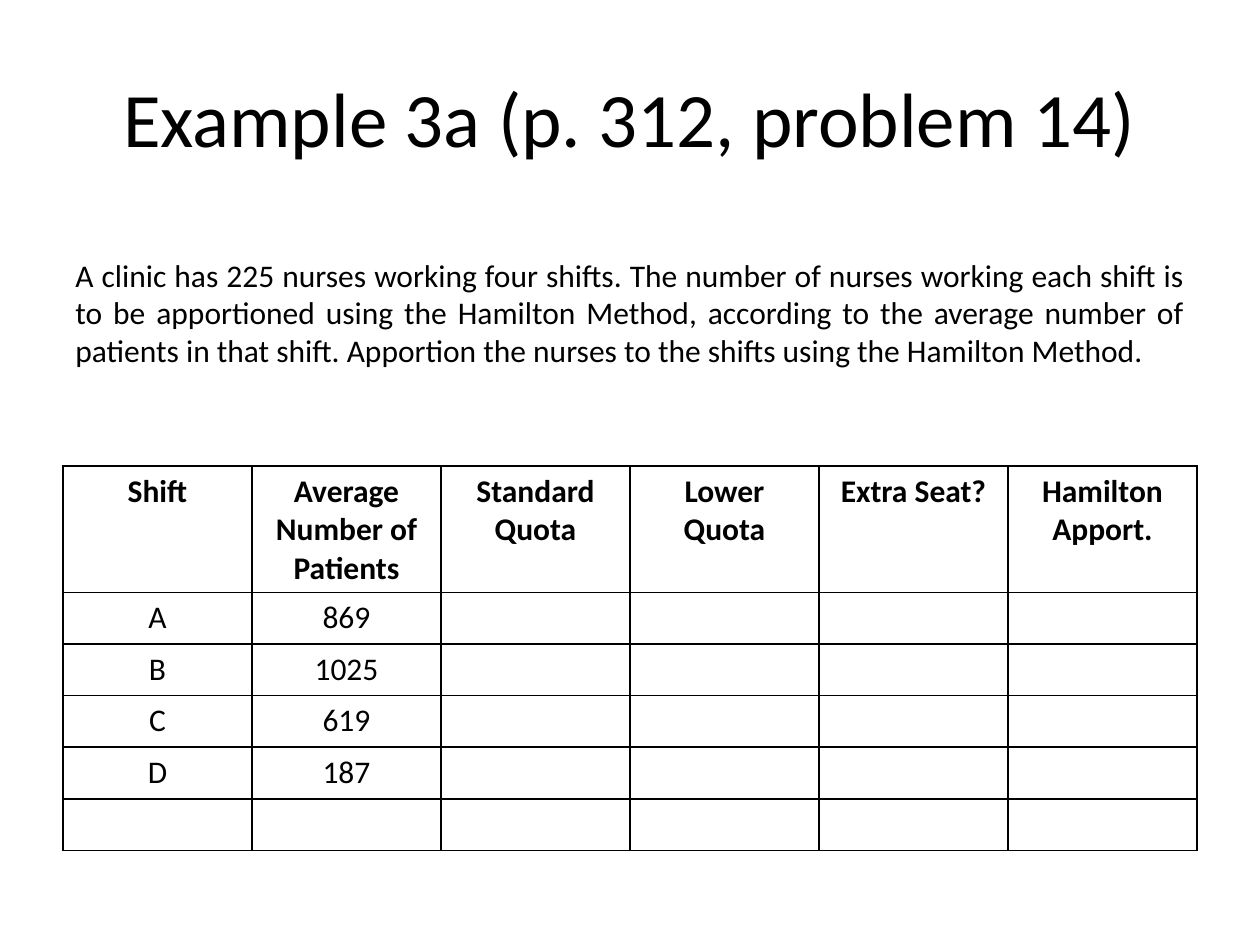
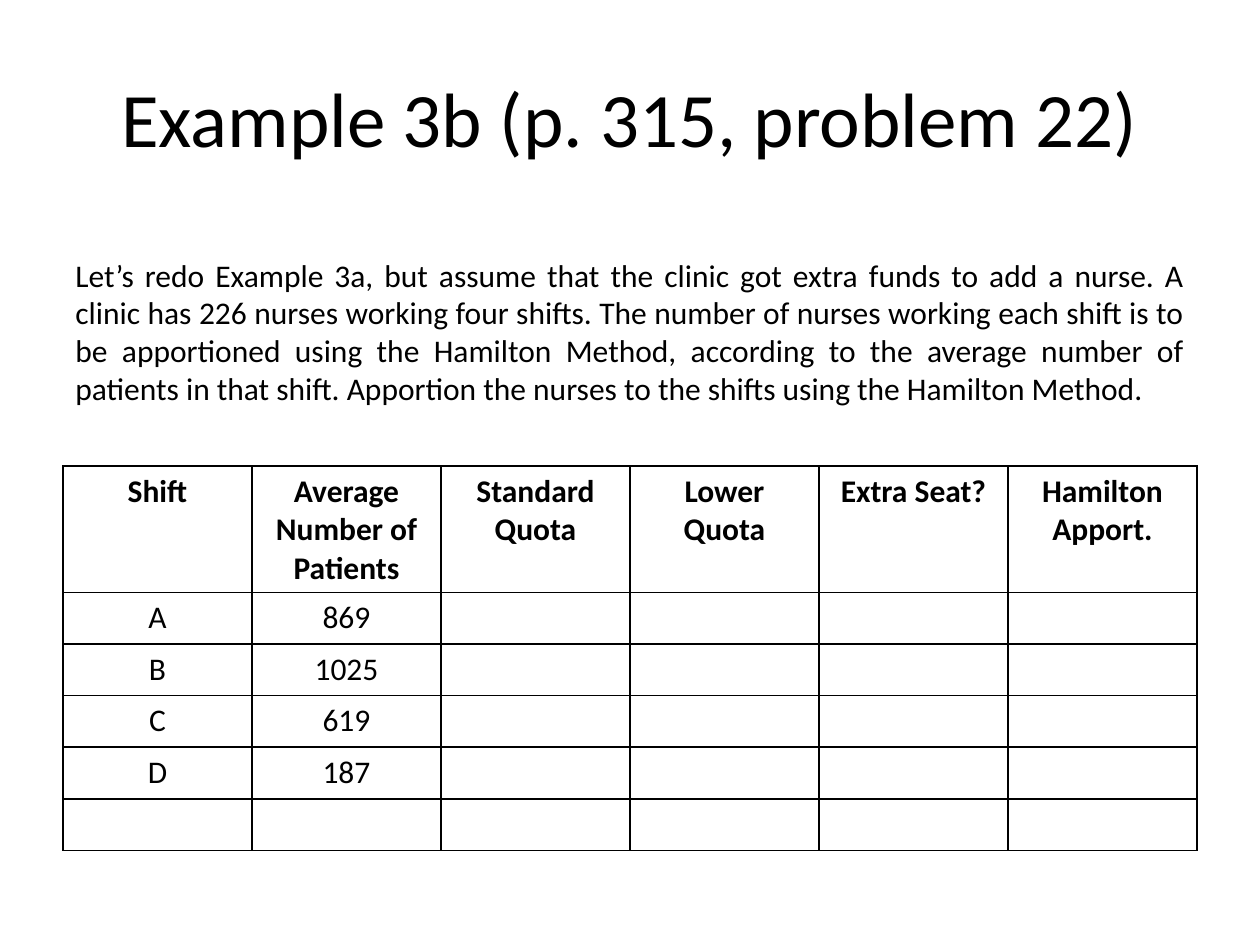
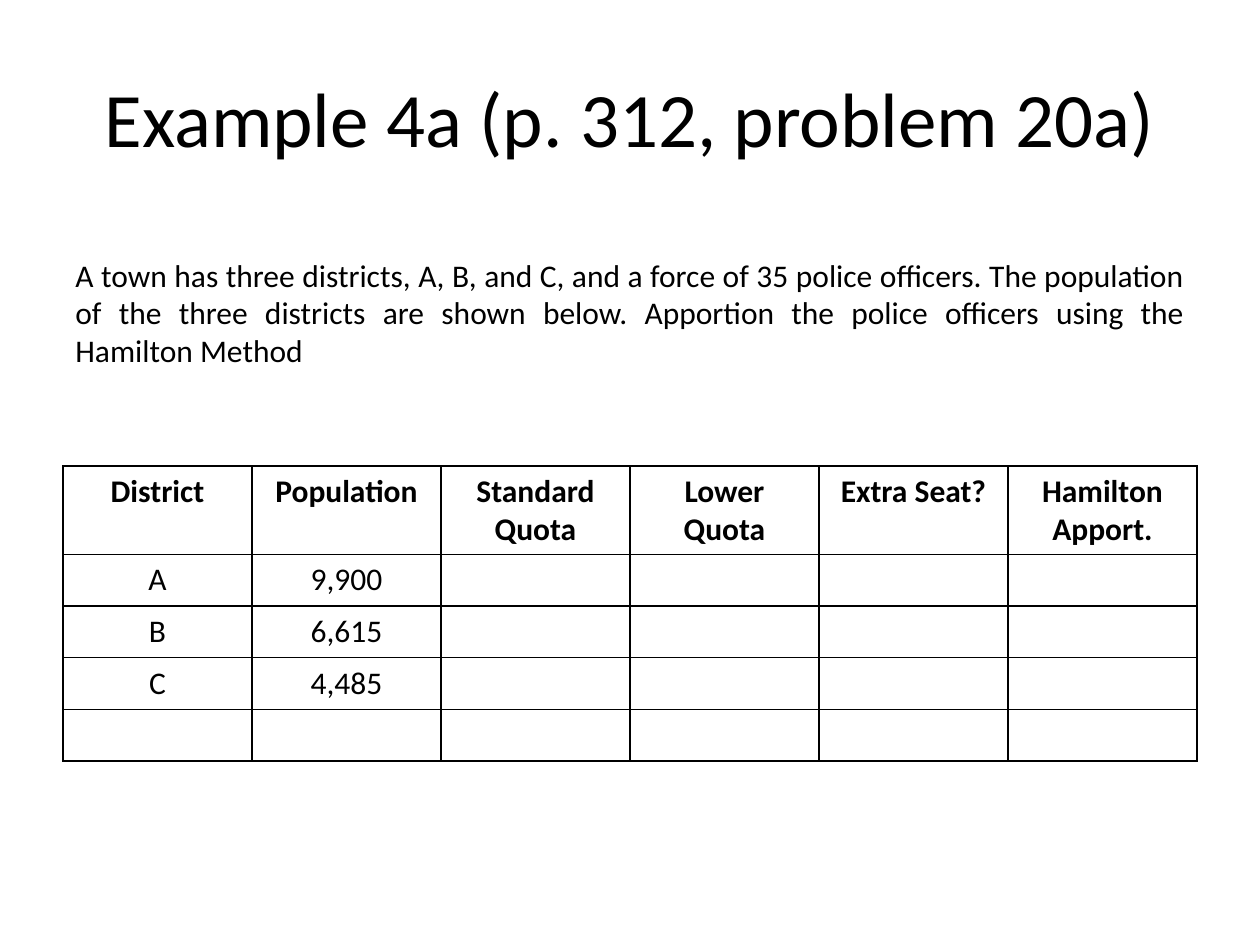
"""Build three apportionment example slides, each with a problem and a worksheet table."""
from dataclasses import dataclass

from lxml import etree
from pptx import Presentation
from pptx.dml.color import RGBColor
from pptx.enum.text import MSO_ANCHOR, PP_ALIGN
from pptx.oxml.ns import qn
from pptx.util import Emu, Pt

PX = 9144
PAGE_WIDTH, PAGE_HEIGHT = 1000, 750
MARGIN = 50
CONTENT_WIDTH = PAGE_WIDTH - 2 * MARGIN
TITLE_TOP, TITLE_HEIGHT = 30, 125
PROBLEM_TOP = 198
TABLE_TOP, ROW_HEIGHT = 370, 41
BLANK_LAYOUT = 6

FONT = "Calibri"
TITLE_SIZE, BODY_SIZE = 44, 18
BORDER_POINTS = 1
BLACK = RGBColor(0x00, 0x00, 0x00)
WHITE = RGBColor(0xFF, 0xFF, 0xFF)

CENTER, JUSTIFY = PP_ALIGN.CENTER, PP_ALIGN.JUSTIFY
TOP, MIDDLE = MSO_ANCHOR.TOP, MSO_ANCHOR.MIDDLE
BORDER_SIDES = ("a:lnL", "a:lnR", "a:lnT", "a:lnB")
WORK_COLUMNS = ("Standard Quota", "Lower Quota", "Extra Seat?", "Hamilton Apport.")


@dataclass(frozen=True)
class Example:
    """One apportionment problem with its known groups."""

    title: str
    problem: str
    problem_height: int
    group_heading: str
    count_heading: str
    groups: tuple[tuple[str, str], ...]


SHIFTS = (("A", "869"), ("B", "1025"), ("C", "619"), ("D", "187"))
SHIFT_HEADINGS = ("Shift", "Average Number of Patients")
DISTRICTS = (("A", "9,900"), ("B", "6,615"), ("C", "4,485"))
NURSE_TASK = (
    "nurses working four shifts. The number of nurses working each shift is to be "
    "apportioned using the Hamilton Method, according to the average number of patients "
    "in that shift. Apportion the nurses to the shifts using the Hamilton Method."
)
EXAMPLES = (
    Example(
        "Example 3a (p. 312, problem 14)",
        f"A clinic has 225 {NURSE_TASK}",
        101, *SHIFT_HEADINGS, SHIFTS,
    ),
    Example(
        "Example 3b (p. 315, problem 22)",
        "Let’s redo Example 3a, but assume that the clinic got extra funds to add a nurse. "
        f"A clinic has 226 {NURSE_TASK}",
        131, *SHIFT_HEADINGS, SHIFTS,
    ),
    Example(
        "Example 4a (p. 312, problem 20a)",
        "A town has three districts, A, B, and C, and a force of 35 police officers. "
        "The population of the three districts are shown below. "
        "Apportion the police officers using the Hamilton Method",
        101, "District", "Population", DISTRICTS,
    ),
)


def px(length: int) -> Emu:
    """Turn px into EMU."""
    return Emu(length * PX)


def write(frame, text: str, size: int, align: PP_ALIGN, bold: bool = False) -> None:
    """Put one styled paragraph in a text frame."""
    paragraph = frame.paragraphs[0]
    paragraph.text = text
    paragraph.alignment = align
    font = paragraph.font
    font.name, font.size, font.bold = FONT, Pt(size), bold
    font.color.rgb = BLACK


def add_text(slide, top: int, height: int, text: str, size: int,
             align: PP_ALIGN, anchor: MSO_ANCHOR) -> None:
    """Add a wrapped text box as wide as the content."""
    box = slide.shapes.add_textbox(px(MARGIN), px(top), px(CONTENT_WIDTH), px(height))
    frame = box.text_frame
    frame.word_wrap = True
    frame.vertical_anchor = anchor
    write(frame, text, size, align)


def add_borders(cell) -> None:
    """Draw a solid line on every side of a cell."""
    properties = cell._tc.get_or_add_tcPr()
    for side in BORDER_SIDES:
        line = etree.SubElement(properties, qn(side), w=str(Pt(BORDER_POINTS)))
        fill = etree.SubElement(line, qn("a:solidFill"))
        etree.SubElement(fill, qn("a:srgbClr"), val=str(BLACK))


def add_worksheet(slide, example: Example) -> None:
    """Add the table of known counts with blank working cells and a blank last row."""
    headings = (example.group_heading, example.count_heading, *WORK_COLUMNS)
    blanks = ("",) * len(WORK_COLUMNS)
    rows = [headings, *((*group, *blanks) for group in example.groups), ("",) * len(headings)]
    table = slide.shapes.add_table(
        len(rows), len(headings), px(MARGIN), px(TABLE_TOP),
        px(CONTENT_WIDTH), px(ROW_HEIGHT * len(rows)),
    ).table
    table.horz_banding = False
    for row_index, row in enumerate(rows):
        for column_index, text in enumerate(row):
            cell = table.cell(row_index, column_index)
            write(cell.text_frame, text, BODY_SIZE, CENTER, bold=row_index == 0)
            add_borders(cell)
            cell.fill.background()


def add_example(deck, example: Example) -> None:
    """Add one slide for an example."""
    slide = deck.slides.add_slide(deck.slide_layouts[BLANK_LAYOUT])
    background = slide.background.fill
    background.solid()
    background.fore_color.rgb = WHITE
    add_text(slide, TITLE_TOP, TITLE_HEIGHT, example.title, TITLE_SIZE, CENTER, MIDDLE)
    add_worksheet(slide, example)
    add_text(slide, PROBLEM_TOP, example.problem_height, example.problem,
             BODY_SIZE, JUSTIFY, TOP)


def main() -> None:
    """Build and save the deck."""
    deck = Presentation()
    deck.slide_width, deck.slide_height = px(PAGE_WIDTH), px(PAGE_HEIGHT)
    for example in EXAMPLES:
        add_example(deck, example)
    deck.save("out.pptx")


if __name__ == "__main__":
    main()
